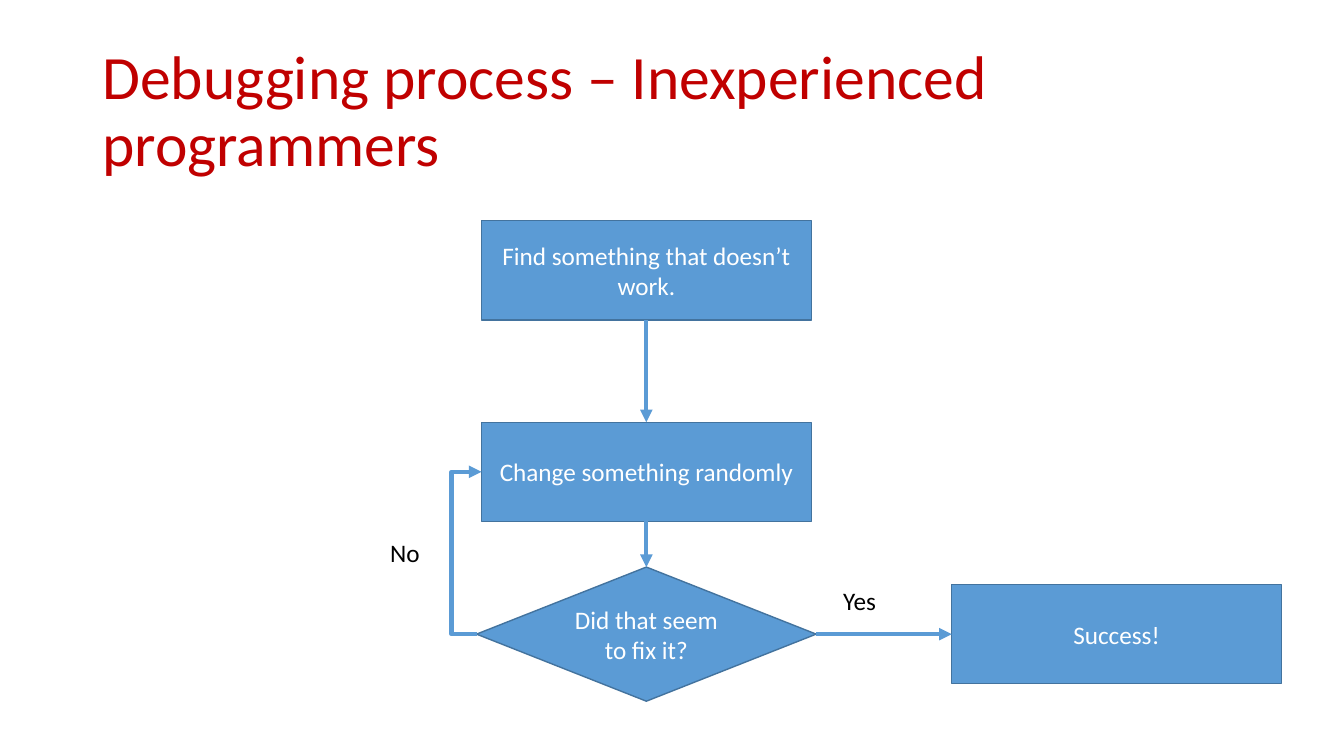
from dataclasses import dataclass

import pptx
import pptx.dml.color
import pptx.enum.shapes
import pptx.enum.text
import pptx.oxml
import pptx.oxml.ns
import pptx.util
from pptx.util import Cm

COLORS = {
    "title": "C00000",
    "fill": "5B9BD5",
    "outline": "43739E",
    "light": "FFFFFF",
    "dark": "000000",
}
FONT = "Calibri"
PRESET = pptx.enum.shapes.MSO_SHAPE
CONNECTOR = pptx.enum.shapes.MSO_CONNECTOR
ALIGN = pptx.enum.text.PP_ALIGN
ANCHOR = pptx.enum.text.MSO_ANCHOR
TOP, LEFT, BOTTOM, RIGHT = range(4)  # connection sites


@dataclass
class Step:
    text: str
    center_x: float
    center_y: float
    width: float = 8.31
    height: float = 2.5
    preset: int = PRESET.FLOWCHART_PROCESS


@dataclass
class Arrow:
    start: str
    start_site: int
    end: str
    end_site: int
    bend_x: float | None = None


@dataclass
class Label:
    text: str
    left: float
    top: float
    width: float


def rgb(name: str):
    return pptx.dml.color.RGBColor.from_string(COLORS[name])


def write_text(shape, text: str, *, size=18, color="dark", align=ALIGN.LEFT,
               anchor=ANCHOR.TOP, wrap=True, spacing=1.0) -> None:
    frame = shape.text_frame
    frame.word_wrap = wrap
    frame.vertical_anchor = anchor
    paragraph = frame.paragraphs[0]
    paragraph.alignment = align
    paragraph.line_spacing = spacing
    run = paragraph.add_run()
    run.text = text
    run.font.size = pptx.util.Pt(size)
    run.font.name = FONT
    run.font.color.rgb = rgb(color)


def draw_step(slide, step: Step):
    shape = slide.shapes.add_shape(
        step.preset,
        Cm(step.center_x - step.width / 2), Cm(step.center_y - step.height / 2),
        Cm(step.width), Cm(step.height))
    shape.shadow.inherit = False
    shape.fill.solid()
    shape.fill.fore_color.rgb = rgb("fill")
    shape.line.color.rgb = rgb("outline")
    shape.line.width = pptx.util.Pt(1)
    write_text(shape, step.text, color="light", align=ALIGN.CENTER,
               anchor=ANCHOR.MIDDLE)
    return shape


def draw_arrow(slide, arrow: Arrow, shapes: dict) -> None:
    kind = CONNECTOR.STRAIGHT if arrow.bend_x is None else CONNECTOR.ELBOW
    connector = slide.shapes.add_connector(kind, 0, 0, 0, 0)
    connector.begin_connect(shapes[arrow.start], arrow.start_site)
    connector.end_connect(shapes[arrow.end], arrow.end_site)
    connector.line.color.rgb = rgb("fill")
    connector.line.width = pptx.util.Pt(3)
    properties = connector._element.spPr
    namespace = pptx.oxml.ns.nsdecls("a")
    # Arrowhead, and no shadow
    connector.line._get_or_add_ln().append(
        pptx.oxml.parse_xml(f'<a:tailEnd {namespace} type="triangle"/>'))
    properties.append(pptx.oxml.parse_xml(f"<a:effectLst {namespace}/>"))
    # Position of the bend, as a share of the connector's width
    if arrow.bend_x is not None:
        share = (Cm(arrow.bend_x) - connector.begin_x) / connector.width
        guides = properties.find(".//" + pptx.oxml.ns.qn("a:avLst"))
        guides.append(pptx.oxml.parse_xml(
            f'<a:gd {namespace} name="adj1" fmla="val {round(share * 100000)}"/>'))


def draw_label(slide, label: Label) -> None:
    box = slide.shapes.add_textbox(
        Cm(label.left), Cm(label.top), Cm(label.width), Cm(1.02))
    write_text(box, label.text, wrap=False)
    box.text_frame.auto_size = pptx.enum.text.MSO_AUTO_SIZE.SHAPE_TO_FIT_TEXT


# Slide
presentation = pptx.Presentation()
presentation.slide_width = Cm(33.87)
presentation.slide_height = Cm(19.05)
slide = presentation.slides.add_slide(presentation.slide_layouts[6])

# Title
title = slide.shapes.add_textbox(Cm(2.33), Cm(1.01), Cm(29.21), Cm(3.68))
write_text(title, "Debugging process – Inexperienced programmers", size=44,
           color="title", anchor=ANCHOR.MIDDLE, spacing=0.9)

# Flowchart steps
MAIN_X = 16.29
DECISION_Y = 15.98
STEPS = {
    "find": Step("Find something that doesn’t work.", MAIN_X, 6.81),
    "change": Step("Change something randomly", MAIN_X, 11.89),
    "decision": Step("Did that seem to fix it?", MAIN_X, DECISION_Y, 8.56, 3.38,
                     PRESET.FLOWCHART_DECISION),
    "success": Step("Success!", 28.14, DECISION_Y),
}
shapes = {name: draw_step(slide, step) for name, step in STEPS.items()}

# Arrows
for arrow in (
    Arrow("find", BOTTOM, "change", TOP),
    Arrow("decision", LEFT, "change", LEFT, bend_x=11.38),
    Arrow("change", BOTTOM, "decision", TOP),
    Arrow("decision", RIGHT, "success", LEFT),
):
    draw_arrow(slide, arrow, shapes)

# Branch labels
for label in (Label("Yes", 21.0, 14.63, 1.35), Label("No", 9.58, 13.41, 1.27)):
    draw_label(slide, label)

presentation.save("out.pptx")
